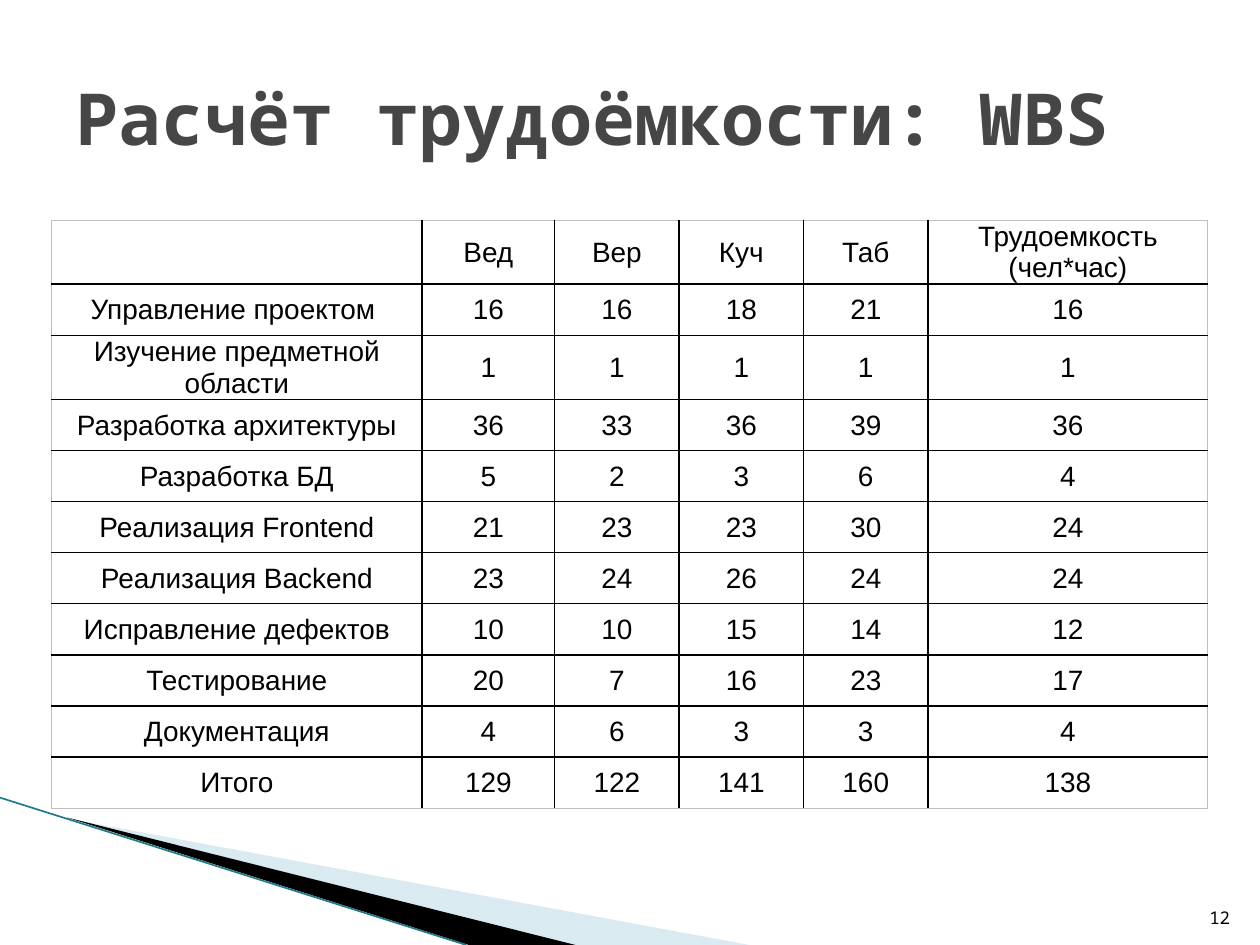
import pptx
import pptx.dml.color
import pptx.enum.shapes
import pptx.enum.text
import pptx.oxml
import pptx.oxml.ns
import pptx.util
from pptx.util import Cm

COLORS = {"title": "464646", "text": "000000", "wedge": "000000",
          "glow": "A0CBDC", "edge": "1F7A8C", "grid": "000000", "frame": "BFBFBF"}
MONO = "Noto Sans Mono"
A_NS = pptx.oxml.ns.nsdecls("a")


def style(p, text, align, **font):
    p.text = text
    p.alignment = align
    f = p.runs[0].font
    f.color.rgb = pptx.dml.color.RGBColor.from_string(COLORS[font.pop("color")])
    for name, value in font.items():
        setattr(f, name, value)


def border(cell, side, color, width):
    """Draw one cell side: L, R, T or B."""
    cell._tc.get_or_add_tcPr().append(pptx.oxml.parse_xml(
        f'<a:ln{side} {A_NS} w="{pptx.util.Pt(width)}"><a:solidFill>'
        f'<a:srgbClr val="{COLORS[color]}"/></a:solidFill></a:ln{side}>'))


prs = pptx.Presentation()
prs.slide_width, prs.slide_height = Cm(25.4), Cm(19.05)
s = prs.slides.add_slide(prs.slide_layouts[5])
ALIGN = pptx.enum.text.PP_ALIGN
ANCHOR = pptx.enum.text.MSO_ANCHOR

# Corner decoration
wedges = [("glow", 40, [(1.4, 16.51), (15.1, 19.05), (11.58, 19.05)]),
          ("wedge", 100, [(1.35, 16.48), (11.6, 19.05), (9.45, 19.05)])]
for color, alpha, points in wedges:
    (x, y), *rest = [(Cm(px), Cm(py)) for px, py in points]
    fb = s.shapes.build_freeform(x, y)
    fb.add_line_segments(rest, close=True)
    sp = fb.convert_to_shape()
    sp.shadow.inherit = False
    sp.line.fill.background()
    sp.fill.solid()
    sp.fill.fore_color.rgb = pptx.dml.color.RGBColor.from_string(COLORS[color])
    if alpha < 100:
        clr = sp._element.spPr.find(".//" + pptx.oxml.ns.qn("a:srgbClr"))
        clr.append(pptx.oxml.parse_xml(f'<a:alpha {A_NS} val="{alpha * 1000}"/>'))

edge = s.shapes.add_connector(pptx.enum.shapes.MSO_CONNECTOR.STRAIGHT,
                              Cm(0), Cm(16.08), Cm(9.4), Cm(19.05))
edge.line.color.rgb = pptx.dml.color.RGBColor.from_string(COLORS["edge"])
edge.line.width = pptx.util.Pt(0.95)
edge._element.spPr.append(pptx.oxml.parse_xml(f"<a:effectLst {A_NS}/>"))

# Title and slide number
title = s.shapes.title
title.left, title.top, title.width, title.height = Cm(1.27), Cm(0.76), Cm(22.86), Cm(3.18)
number = s.shapes.add_textbox(Cm(24.03), Cm(17.81), Cm(1.02), Cm(1.02))
for sp, anchor in [(title, ANCHOR.MIDDLE), (number, ANCHOR.BOTTOM)]:
    tf = sp.text_frame
    tf.word_wrap = True
    tf.auto_size = pptx.enum.text.MSO_AUTO_SIZE.NONE
    tf.vertical_anchor = anchor
style(title.text_frame.paragraphs[0], "Расчёт трудоёмкости: WBS", ALIGN.LEFT,
      color="title", name=MONO, size=pptx.util.Pt(41), bold=True)
style(number.text_frame.paragraphs[0], "12", ALIGN.RIGHT,
      color="text", name=MONO, size=pptx.util.Pt(10))

# Effort table
rows = [
    ("", "Вед", "Вер", "Куч", "Таб", "Трудоемкость (чел*час)"),
    ("Управление проектом ", 16, 16, 18, 21, 16),
    ("Изучение предметной области", 1, 1, 1, 1, 1),
    ("Разработка архитектуры", 36, 33, 36, 39, 36),
    ("Разработка БД", 5, 2, 3, 6, 4),
    ("Реализация Frontend", 21, 23, 23, 30, 24),
    ("Реализация Backend", 23, 24, 26, 24, 24),
    ("Исправление дефектов", 10, 10, 15, 14, 12),
    ("Тестирование", 20, 7, 16, 23, 17),
    ("Документация", 4, 6, 3, 3, 4),
    ("Итого", 129, 122, 141, 160, 138),
]
col_widths = [7.47, 2.67, 2.51, 2.51, 2.51, 5.64]
row_heights = [1.29 if i in (0, 2) else 1.03 for i in range(len(rows))]
table = s.shapes.add_table(len(rows), len(col_widths), Cm(1.04), Cm(4.44),
                           Cm(sum(col_widths)), Cm(sum(row_heights))).table
table.first_row = table.horz_banding = False
for col, width in zip(table.columns, col_widths):
    col.width = Cm(width)
for row, height in zip(table.rows, row_heights):
    row.height = Cm(height)

cell_format = {"margin_left": Cm(0.02), "margin_right": Cm(0.02), "margin_top": Cm(0.02),
               "margin_bottom": 0, "vertical_anchor": ANCHOR.MIDDLE}
for i, values in enumerate(rows):
    for j, value in enumerate(values):
        cell = table.cell(i, j)
        for name, setting in cell_format.items():
            setattr(cell, name, setting)
        outer = {"L": j == 0, "R": j == len(values) - 1,
                 "T": i == 0, "B": i == len(rows) - 1}
        for side, is_outer in outer.items():
            border(cell, side, *(("frame", 0.5) if is_outer else ("grid", 1)))
        cell.fill.background()
        if value != "":
            style(cell.text_frame.paragraphs[0], str(value), ALIGN.CENTER,
                  color="text", name="Arial", size=pptx.util.Pt(16))

prs.save("out.pptx")
